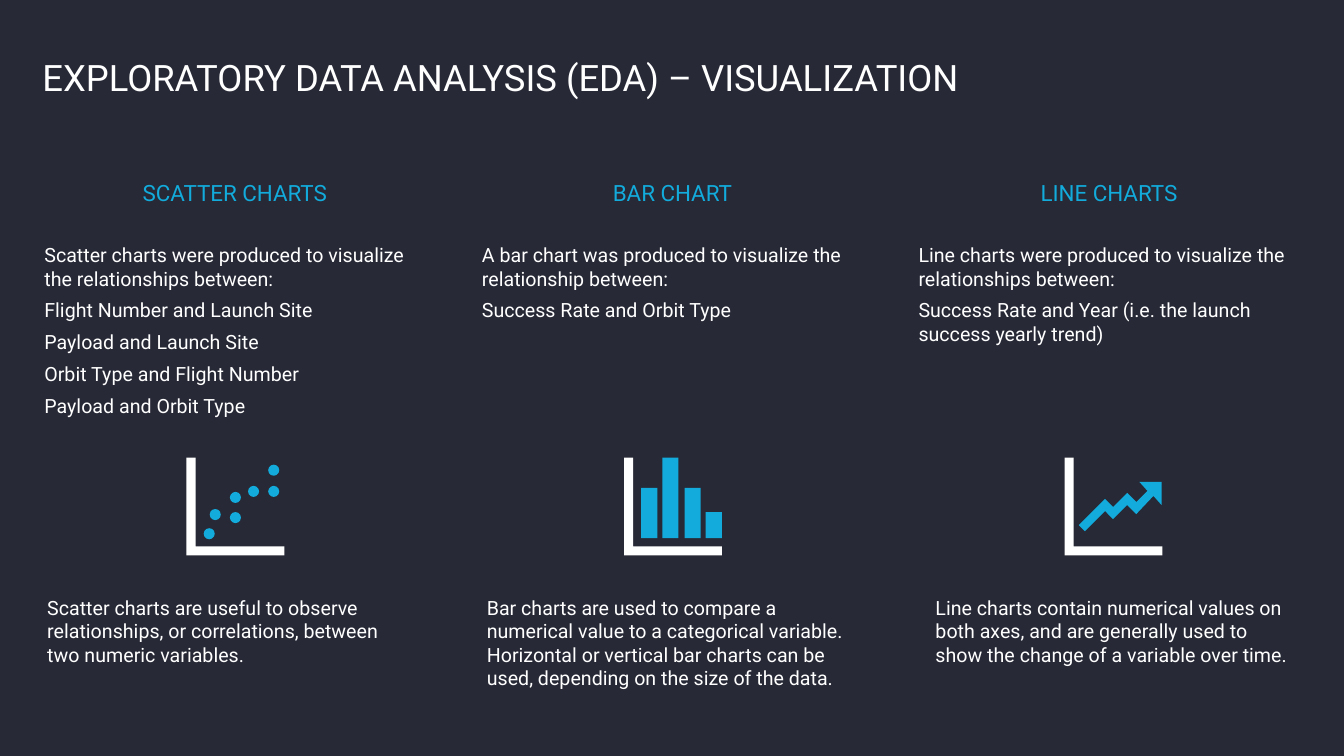
from pptx import Presentation
from pptx.dml.color import RGBColor
from pptx.enum.shapes import MSO_SHAPE as Preset
from pptx.enum.text import MSO_ANCHOR as Anchor, MSO_AUTO_SIZE as AutoSize, PP_ALIGN as Align
from pptx.util import Pt

PX = 9144
BACKGROUND = RGBColor(0x27, 0x29, 0x36)
WHITE = RGBColor(0xFF, 0xFF, 0xFF)
BLUE = RGBColor(0x12, 0xAB, 0xDB)
FONT = "Roboto"

COLUMN_WIDTH = 378
ICON_TOP = 454
BAR_BASE = 80
BAR_PITCH = 21.4
AXES = [(0, 0), (9, 0), (9, 88), (97, 88), (97, 97), (0, 97)]
DOTS = [(17, 70), (23, 51), (43, 54), (43, 34), (61, 28), (81, 28), (81, 7)]
BAR_HEIGHTS = [50, 80, 50, 26]
TREND = [
    (74, 24), (82, 33), (71, 44), (62, 35), (48, 49), (40, 41), (14, 67), (20, 73),
    (40, 53), (48, 61), (62, 47), (71, 56), (88, 38), (96, 47), (96, 24),
]


def px(*lengths):
    """Turn pixel lengths into EMU."""
    return [length * PX for length in lengths]


def fill_text(shape, lines, size, color=WHITE, align=Align.LEFT, anchor=Anchor.TOP,
              inset=0, space_after=0, line_spacing=1.0):
    """Write paragraphs into a shape and format them alike."""
    frame = shape.text_frame
    frame.text = "\n".join(lines)
    frame.word_wrap = True
    frame.auto_size = AutoSize.NONE
    frame.vertical_anchor = anchor
    frame.margin_left = frame.margin_right = inset * 2 * PX
    frame.margin_top = frame.margin_bottom = inset * PX
    for paragraph in frame.paragraphs:
        paragraph.alignment = align
        paragraph.space_before = Pt(0)
        paragraph.space_after = Pt(space_after)
        paragraph.line_spacing = line_spacing
        for run in paragraph.runs:
            run.font.name = FONT
            run.font.size = Pt(size)
            run.font.color.rgb = color


def add_title(slide, text):
    """Place and format the title placeholder."""
    title = slide.shapes.title
    title.left, title.top, title.width, title.height = px(42, 60, 1197, 39)
    fill_text(title, [text], 26, anchor=Anchor.BOTTOM, line_spacing=0.9)


def add_text(slide, left, top, height, lines, size, **style):
    """Add a text box one column wide."""
    box = slide.shapes.add_textbox(*px(left, top, COLUMN_WIDTH, height))
    fill_text(box, lines, size, **style)
    return box


def add_note(slide, left, height, text):
    """Add the explanation below an icon."""
    box = add_text(slide, left, 586, height, [text], 14, inset=5)
    box.text_frame.auto_size = AutoSize.SHAPE_TO_FIT_TEXT


def paint(shape, color):
    """Give a shape a flat fill without line or shadow."""
    shape.shadow.inherit = False
    shape.fill.solid()
    shape.fill.fore_color.rgb = color
    shape.line.fill.background()


def add_outline(slide, left, points, color):
    """Draw a closed polygon with points relative to the icon corner."""
    corners = [(left + x, ICON_TOP + y) for x, y in points]
    builder = slide.shapes.build_freeform(*corners[0], scale=PX)
    builder.add_line_segments(corners[1:], close=True)
    paint(builder.convert_to_shape(), color)


def add_mark(slide, preset, left, x, y, width, height):
    """Draw a blue preset shape relative to the icon corner."""
    bounds = px(left + x, ICON_TOP + y, width, height)
    paint(slide.shapes.add_shape(preset, *bounds), BLUE)


def draw_scatter(slide, left):
    """Draw the dots of the scatter icon."""
    for x, y in DOTS:
        add_mark(slide, Preset.OVAL, left, x, y, 11, 11)


def draw_bars(slide, left):
    """Draw the bars of the bar icon."""
    for index, height in enumerate(BAR_HEIGHTS):
        x = 17 + round(index * BAR_PITCH)
        add_mark(slide, Preset.RECTANGLE, left, x, BAR_BASE - height, 16, height)


def draw_trend(slide, left):
    """Draw the rising arrow of the line icon."""
    add_outline(slide, left, TREND, BLUE)


COLUMNS = [
    (44, "SCATTER CHARTS",
     ["Scatter charts were produced to visualize the relationships between:",
      "Flight Number and Launch Site",
      "Payload and Launch Site",
      "Orbit Type and Flight Number",
      "Payload and Orbit Type"],
     185, draw_scatter, 37, 81,
     "Scatter charts are useful to observe relationships, or correlations, "
     "between two numeric variables."),
    (478, "BAR CHART",
     ["A bar chart was produced to visualize the relationship between:",
      "Success Rate and Orbit Type"],
     619, draw_bars, 473, 104,
     "Bar charts are used to compare a numerical value to a categorical variable. "
     "Horizontal or vertical bar charts can be used, depending on the size of the data."),
    (911, "LINE CHARTS",
     ["Line charts were produced to visualize the relationships between:",
      "Success Rate and Year (i.e. the launch success yearly trend)"],
     1056, draw_trend, 918, 81,
     "Line charts contain numerical values on both axes, and are generally used "
     "to show the change of a variable over time."),
]


def main():
    """Build the slide and save it."""
    presentation = Presentation()
    presentation.slide_width, presentation.slide_height = px(1333, 750)
    slide = presentation.slides.add_slide(presentation.slide_layouts.get_by_name("Title Only"))
    slide.background.fill.solid()
    slide.background.fill.fore_color.rgb = BACKGROUND
    add_title(slide, "EXPLORATORY DATA ANALYSIS (EDA) – VISUALIZATION")
    for left, heading, lines, icon_left, draw_icon, note_left, note_height, note in COLUMNS:
        add_text(slide, left, 145, 92, [heading], 16, color=BLUE, align=Align.CENTER,
                 anchor=Anchor.MIDDLE, space_after=6)
        add_text(slide, left, 241, 446, lines, 14, space_after=6)
        add_outline(slide, icon_left, AXES, WHITE)
        draw_icon(slide, icon_left)
        add_note(slide, note_left, note_height, note)
    presentation.save("out.pptx")


if __name__ == "__main__":
    main()
